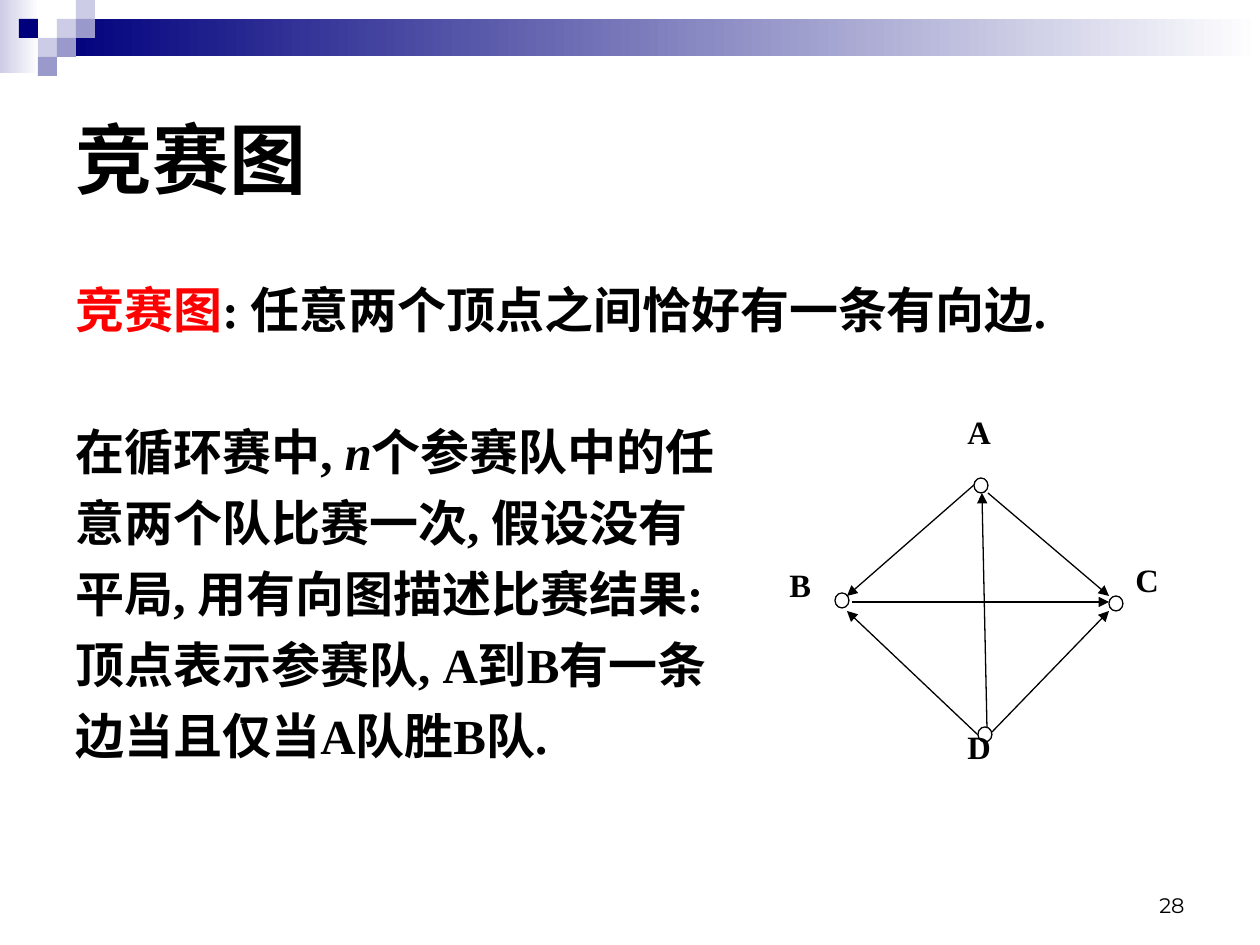
from pptx import Presentation
from pptx.dml.color import RGBColor
from pptx.enum.shapes import MSO_CONNECTOR as CONN, MSO_SHAPE as SHAPE
from pptx.enum.text import MSO_ANCHOR as ANCHOR, MSO_AUTO_SIZE as AUTO, PP_ALIGN as ALIGN
from pptx.oxml.ns import qn
from pptx.util import Emu, Inches, Pt
from lxml.etree import SubElement

SCALE = 914400 / 126
SERIF = "Times New Roman"
NAVY, LILAC, PALE, WHITE, BLACK, RED = "00007D", "9999CC", "CCCCE6", "FFFFFF", "000000", "FF0000"


def px(n):
    """Turn pixels into EMU."""
    return Emu(round(n * SCALE))


def rgb(value):
    """Turn a hex string into a colour."""
    return RGBColor.from_string(value)


def set_attrs(obj, **values):
    """Set each given attribute on an object."""
    for name, value in values.items():
        setattr(obj, name, value)


def move(sp, x, y, w, h):
    """Place a shape at a pixel box."""
    set_attrs(sp, left=px(x), top=px(y), width=px(w), height=px(h))


def add_run(p, text, size, font, color=BLACK, **fmt):
    """Add a formatted run to a paragraph."""
    r = p.add_run()
    r.text = text
    set_attrs(r.font, size=Pt(size), name=font, **fmt)
    r.font.color.rgb = rgb(color)


def add_shape(slide, kind, box, colors, line=None):
    """Add a shape with a plain or a left-to-right gradient fill."""
    sp = slide.shapes.add_shape(kind, *map(px, box))
    sp.shadow.inherit = False
    if len(colors) == 1:
        sp.fill.solid()
        sp.fill.fore_color.rgb = rgb(colors[0])
    else:
        sp.fill.gradient()
        sp.fill.gradient_angle = 0
        for stop, color in zip(sp.fill.gradient_stops, colors):
            stop.color.rgb = rgb(color)
    if line:
        sp.line.color.rgb = rgb(line)
        sp.line.width = Pt(0.74)
    else:
        sp.line.fill.background()


def add_label(slide, box, text, size, font, anchor=ANCHOR.TOP, bold=False, **para):
    """Add a one-line text box."""
    tf = slide.shapes.add_textbox(*map(px, box)).text_frame
    set_attrs(tf, word_wrap=True, vertical_anchor=anchor)
    p = tf.paragraphs[0]
    set_attrs(p, **para)
    add_run(p, text, size, font, bold=bold)


def add_arrow(slide, x1, y1, x2, y2):
    """Add a thin line with an arrowhead at its end."""
    c = slide.shapes.add_connector(CONN.STRAIGHT, *map(px, (x1, y1, x2, y2)))
    c.line.color.rgb = rgb(BLACK)
    c.line.width = Pt(0.74)
    pr = c._element.spPr
    SubElement(pr.find(qn("a:ln")), qn("a:tailEnd"), type="triangle")
    SubElement(pr, qn("a:effectLst"))


def draw_banner(slide, x, y, w):
    """Draw the gradient bar and its mosaic of squares."""
    add_shape(slide, SHAPE.RECTANGLE, (x, y, 39, 73), [PALE, WHITE])
    add_shape(slide, SHAPE.RECTANGLE, (x + 57, y + 19, w - 57, 37), [NAVY, WHITE])
    tile = 19
    squares = [(3, 1, PALE), (4, 0, PALE), (4, 1, LILAC), (2, 2, PALE),
               (1, 1, NAVY), (3, 2, LILAC), (2, 3, LILAC)]
    for col, row, color in squares:
        box = (x + col * tile, y + row * tile, tile, tile)
        add_shape(slide, SHAPE.RECTANGLE, box, [color])


def fill_title(sp, x, y, w, h):
    """Fill the title placeholder."""
    move(sp, x, y, w, h)
    tf = sp.text_frame
    set_attrs(tf, auto_size=AUTO.NONE, vertical_anchor=ANCHOR.MIDDLE)
    p = tf.paragraphs[0]
    p.alignment = ALIGN.LEFT
    add_run(p, "竞赛图", 44, "Arial", bold=True)


def fill_body(sp, x, y, w, h):
    """Fill the body placeholder with the definition and the example."""
    move(sp, x, y, w, h)
    tf = sp.text_frame
    tf.auto_size = AUTO.NONE
    lines = [
        (7, [("竞赛图", {"color": RED}), (": 任意两个顶点之间恰好有一条有向边.", {})]),
        (47.6, [("在循环赛中, ", {}), ("n", {"italic": True}), ("个参赛队中的任", {})]),
        (7, [("意两个队比赛一次, 假设没有", {})]),
        (7, [("平局, 用有向图描述比赛结果: ", {})]),
        (7, [("顶点表示参赛队, A到B有一条", {})]),
        (7, [("边当且仅当A队胜B队. ", {})]),
    ]
    for i, (gap, runs) in enumerate(lines):
        p = tf.add_paragraph() if i else tf.paragraphs[0]
        p.space_before = Pt(gap)
        pr = p._p.get_or_add_pPr()
        pr.set("marL", str(Inches(0.38)))
        pr.set("indent", str(-Inches(0.38)))
        SubElement(pr, qn("a:buNone"))
        for text, fmt in runs:
            add_run(p, text, 28, SERIF, bold=True, **fmt)


def draw_tournament(slide, x, y):
    """Draw the directed graph on four teams."""
    nodes = {"A": ((197, 65), (178, 0)), "B": ((58, 180), (0, 153)),
             "C": ((332, 183), (346, 148)), "D": ((201, 314), (178, 315))}
    edges = [(211, 80, 332, 183), (215, 319, 332, 198), (201, 322, 70, 198),
             (197, 72, 70, 183), (75, 189, 332, 189), (210, 314, 205, 80)]
    for name, ((nx, ny), (lx, ly)) in nodes.items():
        add_shape(slide, SHAPE.OVAL, (x + nx, y + ny, 14, 15), [WHITE], BLACK)
        add_label(slide, (x + lx, y + ly, 69, 53), name, 18.6, SERIF, bold=True,
                  alignment=ALIGN.JUSTIFY, line_spacing=0.8)
    for x1, y1, x2, y2 in edges:
        add_arrow(slide, x + x1, y + y1, x + x2, y + y2)


def main():
    """Build the slide and save it."""
    prs = Presentation()
    set_attrs(prs, slide_width=px(1260), slide_height=px(945))
    slide = prs.slides.add_slide(prs.slide_layouts[1])
    draw_banner(slide, 0, 0, 1260)
    title, body = slide.placeholders
    fill_title(title, 63, 63, 1134, 189)
    fill_body(body, 63, 273, 1134, 583)
    add_label(slide, (903, 861, 294, 63), "28", 12, "Montserrat", ANCHOR.BOTTOM,
              alignment=ALIGN.RIGHT)
    draw_tournament(slide, 777, 413)
    prs.save("out.pptx")


main()
